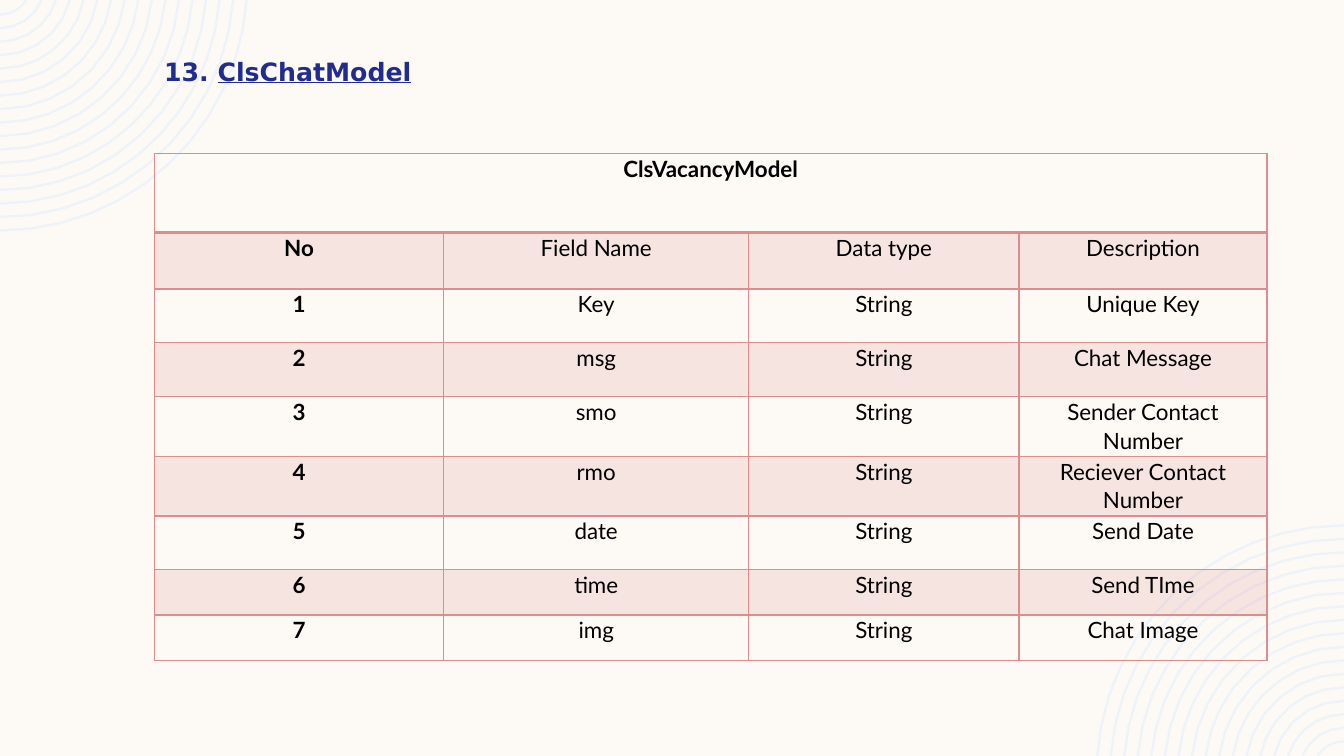
"""Build the ClsChatModel data dictionary slide."""
import dataclasses
import math

import lxml.etree
import pptx
import pptx.dml.color
import pptx.enum.text
import pptx.oxml.ns
import pptx.util

Cm = pptx.util.Cm
Pt = pptx.util.Pt
qn = pptx.oxml.ns.qn
RGB = pptx.dml.color.RGBColor.from_string


@dataclasses.dataclass(frozen=True)
class Theme:
    """Colours, fonts and type sizes of the slide."""

    background: str = "FDFAF6"
    rings: str = "EEF3FA"
    heading: str = "202C8F"
    text: str = "000000"
    accent: str = "DE8C8C"
    band_alpha: int = 20000
    heading_font: str = "DejaVu Sans"
    table_font: str = "Lato"
    heading_size: int = 18
    table_size: int = 16


class SlideBuilder:
    """Draw themed elements on the current slide."""

    def __init__(self, presentation, theme):
        """Add a blank slide with the theme background."""
        self.theme = theme
        self.width = presentation.slide_width
        self.height = presentation.slide_height
        self.slide = presentation.slides.add_slide(presentation.slide_layouts[6])
        fill = self.slide.background.fill
        fill.solid()
        fill.fore_color.rgb = RGB(theme.background)

    def format(self, target, values):
        """Set each named value on the target."""
        for name, value in values.items():
            setattr(target, name, value)

    def paragraph(self, text_frame, runs, font, alignment=None):
        """Fill the first paragraph with (text, font values) runs."""
        paragraph = text_frame.paragraphs[0]
        self.format(paragraph, {"line_spacing": 1.07, "space_after": Pt(8),
                                "alignment": alignment})
        for text, values in runs:
            run = paragraph.add_run()
            run.text = text
            values = {**font, **values}
            run.font.color.rgb = RGB(values.pop("color"))
            self.format(run.font, values)

    def arc(self, radius, steps, opposite):
        """List the points of one ring where it crosses its corner."""
        centre_y = -0.42
        start = math.asin(-centre_y / radius)
        points = []
        for step in range(steps + 1):
            angle = start + (math.pi / 2 - start) * step / steps
            x = Cm(radius * math.cos(angle))
            y = max(0, Cm(centre_y + radius * math.sin(angle)))
            points.append((self.width - x, self.height - y) if opposite else (x, y))
        return points

    def rings(self, opposite=False, count=17, first=0.79, pitch=0.34):
        """Draw concentric rings in the top left or opposite corner."""
        builder = None
        for index in range(count):
            start, *points = self.arc(first + pitch * index, 4 + index // 2, opposite)
            if builder is None:
                builder = self.slide.shapes.build_freeform(*start)
            else:
                builder.move_to(*start)
            builder.add_line_segments(points, close=False)
        shape = builder.convert_to_shape()
        shape.shadow.inherit = False
        shape.fill.background()
        shape.line.color.rgb = RGB(self.theme.rings)
        shape.line.width = Cm(0.06)

    def heading(self, box, number, title):
        """Add the numbered heading with an underlined title."""
        text_frame = self.slide.shapes.add_textbox(*map(Cm, box)).text_frame
        self.format(text_frame, {
            "word_wrap": True,
            "auto_size": pptx.enum.text.MSO_AUTO_SIZE.SHAPE_TO_FIT_TEXT})
        font = {"name": self.theme.heading_font, "bold": True,
                "size": Pt(self.theme.heading_size), "color": self.theme.heading}
        self.paragraph(text_frame, [(number, {}), (title, {"underline": True})], font)

    def borders(self, cell, widths):
        """Draw the cell borders with a width in points per side."""
        properties = cell._tc.get_or_add_tcPr()
        for side, width in widths.items():
            line = lxml.etree.SubElement(properties, qn(f"a:ln{side}"), w=str(Pt(width)))
            fill = lxml.etree.SubElement(line, qn("a:solidFill"))
            lxml.etree.SubElement(fill, qn("a:srgbClr"), val=self.theme.accent)

    def band(self, cell, shaded):
        """Give the cell a translucent accent fill or none."""
        if not shaded:
            cell.fill.background()
            return
        cell.fill.solid()
        cell.fill.fore_color.rgb = RGB(self.theme.accent)
        color = cell._tc.tcPr.find(f"{qn('a:solidFill')}/{qn('a:srgbClr')}")
        lxml.etree.SubElement(color, qn("a:alpha"), val=str(self.theme.band_alpha))

    def table(self, position, column_widths, row_heights, title, records):
        """Add a table with a merged title row and banded records."""
        frame = self.slide.shapes.add_table(
            len(row_heights), len(column_widths), *map(Cm, position),
            Cm(sum(column_widths)), Cm(sum(row_heights)))
        table = frame.table
        self.format(table, {"first_row": False, "horz_banding": False})
        for column, width in zip(table.columns, column_widths):
            column.width = Cm(width)
        for row, height in zip(table.rows, row_heights):
            row.height = Cm(height)
        table.cell(0, 0).merge(table.cell(0, len(column_widths) - 1))
        font = {"name": self.theme.table_font, "size": Pt(self.theme.table_size),
                "color": self.theme.text}
        for row_index, record in enumerate([(title,), *records]):
            for column_index in range(len(column_widths)):
                cell = table.cell(row_index, column_index)
                self.format(cell, {"margin_left": Cm(0.19), "margin_right": Cm(0.19),
                                   "margin_top": 0, "margin_bottom": 0})
                self.borders(cell, {"L": 1, "R": 1, "T": 2 if row_index == 1 else 1,
                                    "B": 2 if row_index == 0 else 1})
                self.band(cell, row_index % 2 == 1)
                if column_index < len(record):
                    self.paragraph(cell.text_frame,
                                   [(record[column_index], {"bold": column_index == 0})],
                                   font, pptx.enum.text.PP_ALIGN.CENTER)


def main():
    """Build and save the presentation."""
    presentation = pptx.Presentation()
    presentation.slide_width = Cm(33.87)
    presentation.slide_height = Cm(19.05)
    builder = SlideBuilder(presentation, Theme())
    builder.rings()
    builder.rings(opposite=True)
    builder.heading((3.89, 1.24, 16.94, 1.04), "13. ", "ClsChatModel")
    fields = [
        ("Key", "Unique Key"),
        ("msg", "Chat Message"),
        ("smo", "Sender Contact Number"),
        ("rmo", "Reciever Contact Number"),
        ("date", "Send Date"),
        ("time", "Send TIme"),
        ("img", "Chat Image"),
    ]
    records = [("No", "Field Name", "Data type", "Description")]
    records += [(str(number), name, "String", description)
                for number, (name, description) in enumerate(fields, 1)]
    builder.table(
        (3.89, 3.86),
        (7.29, 7.69, 6.81, 6.25),
        (2, 1.42, 1.36, 1.36, 1.5, 1.5, 1.36, 1.14, 1.14),
        "ClsVacancyModel", records)
    presentation.save("out.pptx")


if __name__ == "__main__":
    main()
